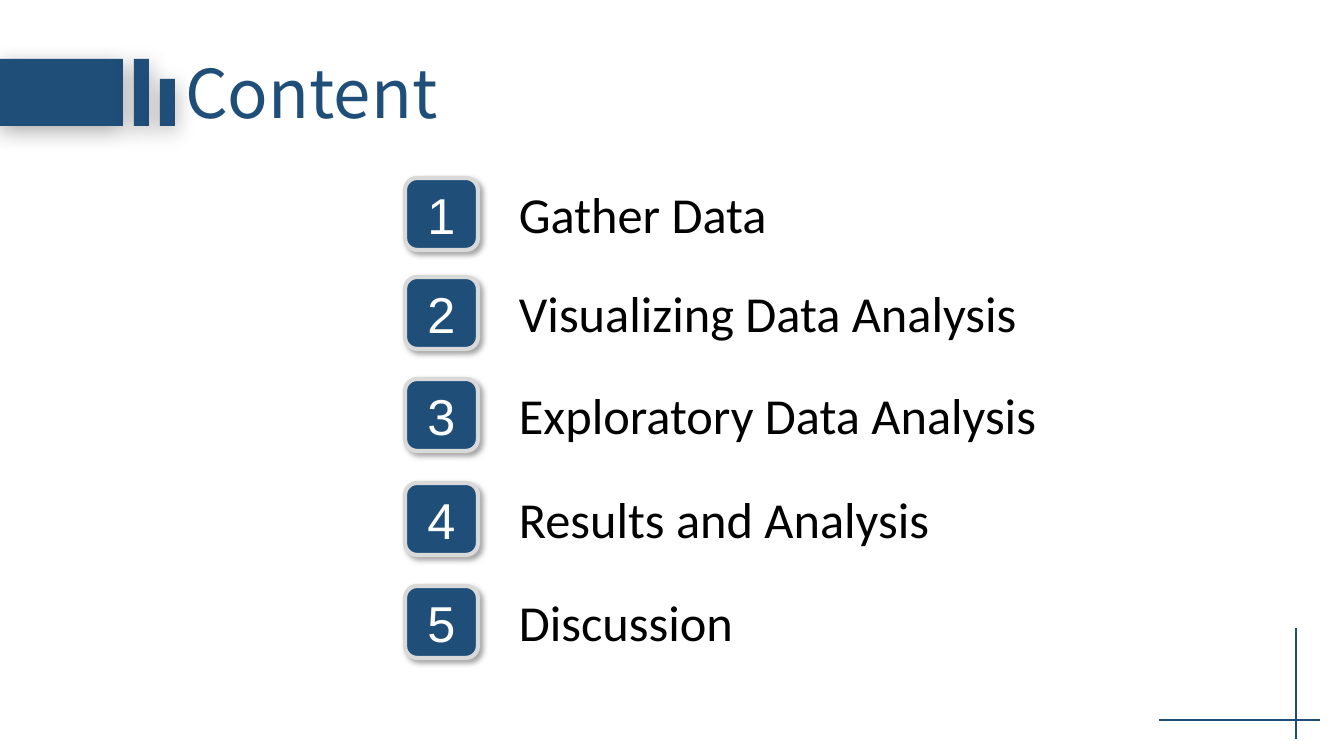
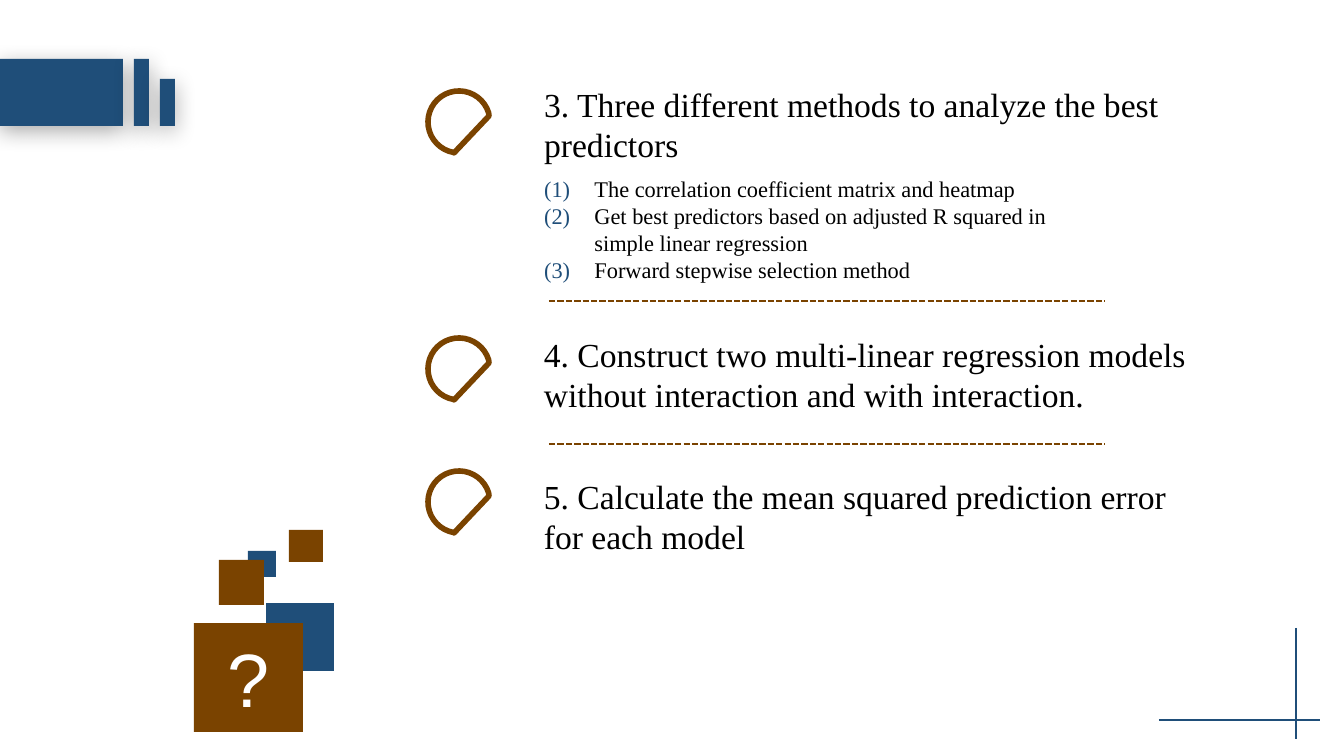
"""Build the content and methods slides of a data analysis talk."""
from math import cos, radians, sin

from lxml.etree import SubElement
from pptx import Presentation
from pptx.dml.color import RGBColor
from pptx.enum.dml import MSO_LINE
from pptx.enum.shapes import MSO_CONNECTOR, MSO_SHAPE
from pptx.enum.text import MSO_ANCHOR, MSO_AUTO_SIZE, PP_ALIGN
from pptx.oxml.ns import qn
from pptx.util import Pt

NAVY = RGBColor(0x1F, 0x4E, 0x79)
BROWN = RGBColor(0x7A, 0x43, 0x00)
SILVER = RGBColor(0xD9, 0xD9, 0xD9)
GREY = RGBColor(0x80, 0x80, 0x80)
BLACK = RGBColor(0, 0, 0)
WHITE = RGBColor(0xFF, 0xFF, 0xFF)
PX = 914400 / 100.8

BAND_SHADOW = (BLACK, 32, 16, 4, 90)
BADGE_SHADOW = (GREY, 69, 4, 3, 45)

TITLE = {"size": Pt(48), "name": "Noto Sans CJK SC", "color": NAVY}
BADGE = {"size": Pt(36), "name": "Arial", "color": WHITE}
TOPIC = {"size": Pt(36), "name": "Calibri", "color": BLACK}
STEP = {"size": Pt(24), "name": "Times New Roman", "color": BLACK}
DETAIL = {**STEP, "size": Pt(16)}
QUESTION = {**BADGE, "size": Pt(54)}


def emu(*pixels):
    return [round(pixel * PX) for pixel in pixels]


def paint(shape, fill=None, outline=None, width=0, shadow=None):
    shape.shadow.inherit = False
    if fill is None:
        shape.fill.background()
    else:
        shape.fill.solid()
        shape.fill.fore_color.rgb = fill
    if outline is None:
        shape.line.fill.background()
    else:
        shape.line.color.rgb = outline
        shape.line.width = Pt(width)
    if shadow:
        tint, opacity, blur, distance, angle = shadow
        effects = shape._element.spPr.find(qn("a:effectLst"))
        cast = SubElement(effects, qn("a:outerShdw"), blurRad=str(Pt(blur)), dist=str(Pt(distance)),
                          dir=str(angle * 60000), algn="ctr", rotWithShape="0")
        shade = SubElement(cast, qn("a:srgbClr"), val=str(tint))
        SubElement(shade, qn("a:alpha"), val=str(opacity * 1000))


prs = Presentation()
prs.slide_width, prs.slide_height = emu(1344, 756)
contents = prs.slides.add_slide(prs.slide_layouts[5])
methods = prs.slides.add_slide(prs.slide_layouts[1])

rules = [(methods, (549, y, 1105, y), BROWN, MSO_LINE.SQUARE_DOT) for y in (301, 444)]
for slide in (contents, methods):
    for band in ((0, 59, 123, 67), (134, 59, 15, 67), (160, 79, 15, 47)):
        paint(slide.shapes.add_shape(MSO_SHAPE.RECTANGLE, *emu(*band)), NAVY, shadow=BAND_SHADOW)
    for corner in ((1296, 628, 1296, 739), (1159, 720, 1320, 720)):
        rules.append((slide, corner, NAVY, None))

for slide, ends, colour, dash in rules:
    rule = slide.shapes.add_connector(MSO_CONNECTOR.STRAIGHT, *emu(*ends))
    rule.line.color.rgb = colour
    rule.line.width = Pt(1.5)
    rule.line.dash_style = dash
    SubElement(rule._element.spPr, qn("a:effectLst"))

heading = contents.shapes.title
heading.left, heading.top, heading.width, heading.height = emu(175, 46, 370, 92)
wording = [(heading, ["Content"], TITLE)]
centred = []

topics = [
    ("Gather Data", 178, 429),
    ("Visualizing Data Analysis", 277, 528),
    ("Exploratory Data Analysis", 379, 547),
    ("Results and Analysis", 483, 547),
    ("Discussion", 586, 547),
]
for number, (topic, top, width) in enumerate(topics, 1):
    badge = contents.shapes.add_shape(MSO_SHAPE.ROUNDED_RECTANGLE, *emu(405, top, 73, 72))
    paint(badge, NAVY, SILVER, 3, BADGE_SHADOW)
    centred.append((badge, [str(number)], BADGE))
    label = contents.shapes.add_textbox(*emu(509, top, width, 72))
    wording.append((label, [topic], TOPIC))

mosaic = [
    (248, 551, 28, 26, NAVY),
    (219, 560, 45, 45, BROWN),
    (266, 603, 68, 68, NAVY),
    (289, 530, 34, 32, BROWN),
    (194, 623, 109, 109, BROWN),
]
for *box, colour in mosaic:
    tile = methods.shapes.add_shape(MSO_SHAPE.RECTANGLE, *emu(*box))
    paint(tile, colour)
centred.append((tile, ["?"], QUESTION))

for top in (91, 338, 471):
    arc = [(459 + 31 * cos(radians(a)), top + 31 + 31 * sin(radians(a))) for a in range(100, 344, 9)]
    points = [emu(*point) for point in arc + [(489, top + 25), (454, top + 62)]]
    outline = methods.shapes.build_freeform(*points[0])
    outline.add_line_segments(points[1:], close=True)
    paint(outline.convert_to_shape(), outline=BROWN, width=4)

first_step = methods.shapes.title
first_step.left, first_step.top, first_step.width, first_step.height = emu(534, 79, 732, 92)
wording.append((first_step, ["3. Three different methods to analyze the best predictors"], STEP))
details = methods.placeholders[1]
details.left, details.top, details.width, details.height = emu(534, 170, 531, 119)
wording.append((details, [
    "The correlation coefficient matrix and heatmap",
    "Get best predictors based on adjusted R squared in simple linear regression",
    "Forward stepwise selection method",
], DETAIL))
later_steps = [
    (329, "4. Construct two multi-linear regression models without interaction and with interaction."),
    (471, "5. Calculate the mean squared prediction error for each model"),
]
for top, step in later_steps:
    wording.append((methods.shapes.add_textbox(*emu(534, top, 685, 92)), [step], STEP))

for group, align, anchor, fit in (
    (wording, PP_ALIGN.LEFT, MSO_ANCHOR.TOP, MSO_AUTO_SIZE.SHAPE_TO_FIT_TEXT),
    (centred, PP_ALIGN.CENTER, MSO_ANCHOR.MIDDLE, MSO_AUTO_SIZE.NONE),
):
    for holder, lines, look in group:
        frame = holder.text_frame
        frame.text = "\n".join(lines)
        for key, value in {"word_wrap": True, "vertical_anchor": anchor, "auto_size": fit}.items():
            setattr(frame, key, value)
        for paragraph in frame.paragraphs:
            paragraph.alignment = align
            paragraph.space_before = Pt(0)
            font = paragraph.runs[0].font
            for key, value in look.items():
                if key == "color":
                    font.color.rgb = value
                else:
                    setattr(font, key, value)

for paragraph in details.text_frame.paragraphs:
    props = paragraph._p.get_or_add_pPr()
    props.set("marL", "457200")
    props.set("indent", "-457200")
    SubElement(SubElement(props, qn("a:buClr")), qn("a:srgbClr"), val=str(NAVY))
    SubElement(props, qn("a:buFont"), typeface=DETAIL["name"])
    SubElement(props, qn("a:buAutoNum"), type="arabicParenBoth")

prs.save("out.pptx")
